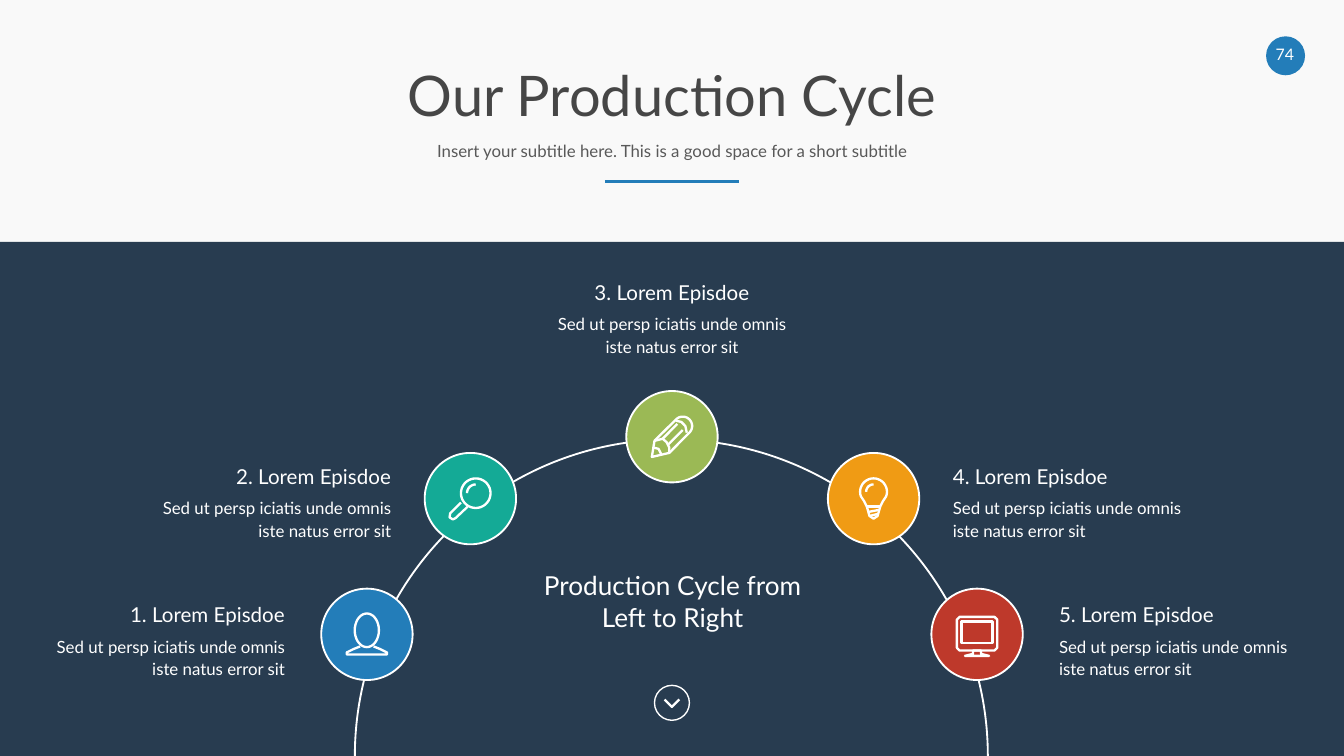
import math
from dataclasses import dataclass

from lxml import etree
from pptx import Presentation
from pptx.dml.color import RGBColor
from pptx.enum import shapes, text
from pptx.oxml import ns
from pptx.util import Inches, Pt


@dataclass(frozen=True)
class Theme:
    font: str = "Lato"
    paper: str = "F9F9F9"
    navy: str = "283C50"
    blue: str = "237DB9"
    teal: str = "14AA96"
    green: str = "9BB955"
    orange: str = "F09B14"
    red: str = "BE392B"
    white: str = "FFFFFF"
    title_gray: str = "464646"
    subtitle_gray: str = "595959"
    title: float = 30
    centre: float = 14
    heading: float = 11
    body: float = 9
    page: float = 8.5
    accent_line: float = 1.5
    icon_line: float = 1.25


theme = Theme()
presentation = Presentation()
presentation.slide_width = Inches(10)
presentation.slide_height = Inches(10) * 9 // 16
slide = presentation.slides.add_slide(presentation.slide_layouts[6])
slide.background.fill.solid()
slide.background.fill.fore_color.rgb = RGBColor.from_string(theme.paper)


def arc(x, y, radius_x, radius_y, start, end):
    """Points along an ellipse, clockwise in degrees from the right-hand side."""
    steps = max(8, (end - start) // 10)
    angles = [math.radians(start + (end - start) * i / steps) for i in range(steps + 1)]
    return [(x + radius_x * math.cos(a), y + radius_y * math.sin(a)) for a in angles]


# Icon contours in hundredths of an inch from the icon centre: points, closed
person = [
    (arc(0, -3, 9, 12.5, 0, 350), True),
    ([(-5, 9), (-10, 11), (-15, 13.5), (-15, 15), (15, 15), (15, 13.5), (10, 11), (5, 9)],
     False),
]
magnifier = [
    (arc(4, -4, 11, 11, 0, 350), True),
    (arc(4, -4, 6.5, 6.5, 180, 270), False),
    ([(-7, 3), (-15, 11), (-15.5, 14), (-13, 15.5), (-11, 14.5), (-2, 6)], False),
]
pencil = [
    ([(-15, 15), (-13, 3)] + arc(8, -8, 7, 7, 225, 405) + [(-2, 12)], True),
    ([(3, -12), (7, -11), (10, -8), (11, -3)], False),
    ([(-13, 3), (-7, 1.5), (-4, 4), (-2, 8), (-2, 12)], False),
    ([(-14, 8), (-10, 9), (-8, 13)], False),
    ([(-7, 1.5), (4, -9.5)], False),
    ([(-3, 6), (8, -5)], False),
]
bulb = [
    (arc(0, -5, 10, 10, 160, 380)
     + [(7, 2), (5, 6), (3, 13), (0, 15), (-3, 13), (-5, 6), (-7, 2)], True),
    (arc(0, -5, 5.5, 5.5, 180, 270), False),
    ([(-5, 6), (5, 6)], False),
    ([(-4, 10), (4, 8.5)], False),
    ([(-3, 13), (3, 11.5)], False),
]
monitor = [
    ([(-13, -13), (13, -13), (15, -11), (15, 10), (13, 12), (-13, 12), (-15, 10), (-15, -11)],
     True),
    ([(-11.5, -9.5), (11.5, -9.5), (11.5, 6.5), (-11.5, 6.5)], True),
    ([(-3, 12), (3, 12), (3, 14.5), (9, 16), (-9, 16), (-3, 14.5)], True),
]
chevron = [([(-5.5, -2.5), (0, 3), (5.5, -2.5)], False)]

# Stages from left to right: centre, colour, icon, text position, alignment
left, centre, right = text.PP_ALIGN.LEFT, text.PP_ALIGN.CENTER, text.PP_ALIGN.RIGHT
stages = [
    (2.73, 4.72, theme.blue, person, 0.42, 4.48, right),
    (3.5, 3.71, theme.teal, magnifier, 1.21, 3.45, right),
    (5, 3.25, theme.green, pencil, 4.15, 2.08, centre),
    (6.5, 3.71, theme.orange, bulb, 7.09, 3.45, left),
    (7.27, 4.72, theme.red, monitor, 7.88, 4.48, left),
]

# Filled areas and circles: preset, left, top, width, height, fill, line width
oval = shapes.MSO_SHAPE.OVAL
areas = [
    (shapes.MSO_SHAPE.RECTANGLE, 0, 1.8, 10, 3.83, theme.navy, 0),
    (oval, 9.42, 0.27, 0.29, 0.29, theme.blue, 0),
    (oval, 4.87, 5.1, 0.26, 0.26, None, 0.75),
    (oval, 2.64, 3.27, 4.71, 4.71, None, 1),
]
areas += [(oval, x - 0.34, y - 0.34, 0.68, 0.68, colour, 1) for x, y, colour, *_ in stages]
for preset, x, y, width, height, fill, line_width in areas:
    shape = slide.shapes.add_shape(preset, Inches(x), Inches(y), Inches(width), Inches(height))
    shape.shadow.inherit = False
    if fill:
        shape.fill.solid()
        shape.fill.fore_color.rgb = RGBColor.from_string(fill)
    else:
        shape.fill.background()
    if line_width:
        shape.line.color.rgb = RGBColor.from_string(theme.white)
        shape.line.width = Pt(line_width)
    else:
        shape.line.fill.background()

accent = slide.shapes.add_connector(
    shapes.MSO_CONNECTOR.STRAIGHT, Inches(4.5), Inches(1.35), Inches(5.5), Inches(1.35))
accent.line.color.rgb = RGBColor.from_string(theme.blue)
accent.line.width = Pt(theme.accent_line)
etree.SubElement(accent._element.spPr, ns.qn("a:effectLst"))

icons = [(x, y, icon) for x, y, _, icon, *_ in stages] + [(5, 5.23, chevron)]
for x, y, icon in icons:
    builder = None
    for points, closed in icon:
        placed = [(Inches(x + across / 100), Inches(y + down / 100)) for across, down in points]
        if builder:
            builder.move_to(*placed[0])
        else:
            builder = slide.shapes.build_freeform(*placed[0])
        builder.add_line_segments(placed[1:], close=closed)
    shape = builder.convert_to_shape()
    shape.shadow.inherit = False
    shape.fill.background()
    shape.line.color.rgb = RGBColor.from_string(theme.white)
    shape.line.width = Pt(theme.icon_line)

# Labels: wording, left, top, width, height, size, colour, alignment, line spacing, anchor
top, middle = text.MSO_ANCHOR.TOP, text.MSO_ANCHOR.MIDDLE
labels = [
    ("74", 9.44, 0.33, 0.24, 0.14, theme.page, theme.white, centre, 1.0, top),
    ("Our Production Cycle", 0.65, 0.48, 8.7, 0.5,
     theme.title, theme.title_gray, centre, 0.9, middle),
    ("Insert your subtitle here. This is a good space for a short subtitle",
     0.65, 1.01, 8.7, 0.25, theme.body, theme.subtitle_gray, centre, 0.9, middle),
    ("Production Cycle from Left to Right", 3.93, 4.24, 2.15, 0.47,
     theme.centre, theme.white, centre, 1.0, top),
]
for number, (_, _, _, _, x, y, alignment) in enumerate(stages, 1):
    labels += [
        (f"{number}. Lorem Episdoe", x, y, 1.7, 0.19,
         theme.heading, theme.white, alignment, 1.0, top),
        ("Sed ut persp iciatis unde omnis iste natus error sit", x, y + 0.24, 1.7, 0.32,
         theme.body, theme.white, alignment, Pt(12), top),
    ]
for wording, x, y, width, height, size, colour, alignment, spacing, anchor in labels:
    box = slide.shapes.add_textbox(Inches(x), Inches(y), Inches(width), Inches(height))
    frame = box.text_frame
    frame.word_wrap = True
    frame.vertical_anchor = anchor
    frame.margin_left = frame.margin_right = frame.margin_top = frame.margin_bottom = 0
    paragraph = frame.paragraphs[0]
    paragraph.alignment = alignment
    paragraph.line_spacing = spacing
    run = paragraph.add_run()
    run.text = wording
    run.font.name = theme.font
    run.font.size = Pt(size)
    run.font.color.rgb = RGBColor.from_string(colour)

presentation.save("out.pptx")
